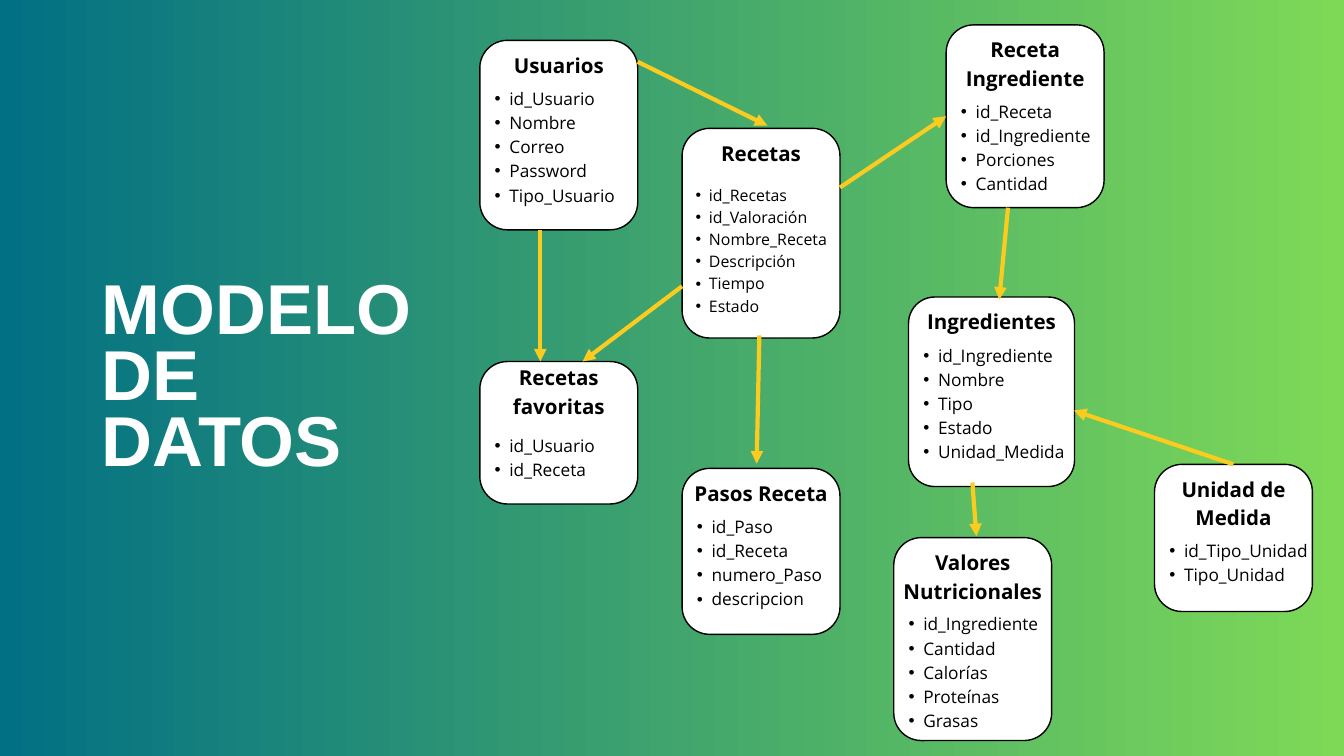
from dataclasses import dataclass
from typing import Optional

from lxml import etree
from pptx import Presentation
from pptx import util as u
from pptx.dml.color import RGBColor
from pptx.enum import shapes, text
from pptx.oxml import ns

WHITE = RGBColor(0xFF, 0xFF, 0xFF)
BLACK = RGBColor(0x00, 0x00, 0x00)
GOLD = RGBColor(0xFC, 0xCB, 0x1F)
TEAL = RGBColor(0x02, 0x70, 0x84)
LIME = RGBColor(0x7E, 0xD9, 0x57)

HEAD = {"name": "Open Sans", "size": u.Pt(22), "bold": True}
BODY = {"name": "Open Sans", "bold": False}
TITLE = {"name": "Arial", "size": u.Pt(75.6), "bold": True}
FRAME = {
    "margin_left": 0, "margin_top": 0, "margin_right": 0, "margin_bottom": 0,
    "word_wrap": True, "auto_size": text.MSO_AUTO_SIZE.SHAPE_TO_FIT_TEXT,
}


@dataclass
class Table:
    name: str
    left: float
    top: float
    high: float
    fields: list[str]
    drop: float = 0.66
    lead: float = 0.12
    wide: float = 2.35
    size: float = 18.5
    round: float = 0.41


@dataclass
class Link:
    start: tuple[float, float]
    end: tuple[float, float]
    source: Optional[tuple[str, int]] = None
    target: Optional[tuple[str, int]] = None


TABLES = [
    Table("Usuarios", 7.14, 0.6, 2.82,
          ["id_Usuario", "Nombre", "Correo", "Password", "Tipo_Usuario"]),
    Table("Recetas favoritas", 7.14, 5.38, 2.12, ["id_Usuario", "id_Receta"],
          drop=1.04, lead=-0.01),
    Table("Pasos Receta", 10.15, 6.97, 2.47,
          ["id_Paso", "id_Receta", "numero_Paso", "descripcion"]),
    Table("Recetas", 10.15, 1.91, 3.12,
          ["id_Recetas", "id_Valoración", "Nombre_Receta", "Descripción",
           "Tiempo", "Estado"], drop=0.8, size=17),
    Table("Receta Ingrediente", 14.08, 0.37, 2.72,
          ["id_Receta", "id_Ingrediente", "Porciones", "Cantidad"], drop=1.08),
    Table("Ingredientes", 13.52, 4.42, 2.82,
          ["id_Ingrediente", "Nombre", "Tipo", "Estado", "Unidad_Medida"],
          wide=2.47, round=0.39),
    Table("Valores Nutricionales", 13.3, 8, 3.02,
          ["id_Ingrediente", "Cantidad", "Calorías", "Proteínas", "Grasas"],
          drop=1.08),
    Table("Unidad de Medida", 17.18, 6.91, 2.19,
          ["id_Tipo_Unidad", "Tipo_Unidad"], drop=1.08),
]

LINKS = [
    Link((9.49, 0.92), (11.42, 1.87)),
    Link((10.15, 4.26), (8.67, 5.38)),
    Link((8.04, 3.42), (8.04, 5.38)),
    Link((11.3, 4.99), (11.26, 6.9)),
    Link((12.5, 2.79), (14.08, 1.73), target=("Receta Ingrediente", 1)),
    Link((15, 3.09), (14.87, 4.46)),
    Link((18.36, 6.91), (15.98, 6.11), source=("Unidad de Medida", 0)),
    Link((14.47, 7.18), (14.53, 7.98)),
]


def apply(target, values: dict) -> None:
    for key, value in values.items():
        setattr(target, key, value)


def add_text(parent, spot: tuple, lines: list[str], font: dict, color: RGBColor,
             space: float, align, indent: float = 0) -> None:
    frame = parent.add_textbox(*map(u.Inches, spot)).text_frame
    apply(frame, FRAME)
    for index, line in enumerate(lines):
        para = frame.add_paragraph() if index else frame.paragraphs[0]
        apply(para, {"alignment": align, "line_spacing": u.Pt(space)})
        if indent:
            props = para._p.get_or_add_pPr()
            props.set("marL", str(u.Inches(indent)))
            props.set("indent", str(-u.Inches(indent / 2)))
            etree.SubElement(props, ns.qn("a:buFont"), typeface="Arial")
            etree.SubElement(props, ns.qn("a:buChar"), char="•")
        run = para.add_run()
        run.text = line
        apply(run.font, font)
        run.font.color.rgb = color


def add_table(slide, table: Table):
    group = slide.shapes.add_group_shape().shapes
    spot = (table.left, table.top, table.wide, table.high)
    card = group.add_shape(shapes.MSO_SHAPE.ROUNDED_RECTANGLE,
                           *map(u.Inches, spot))
    card.adjustments[0] = table.round / min(table.wide, table.high)
    card.shadow.inherit = False
    card.fill.solid()
    card.fill.fore_color.rgb = WHITE
    card.line.color.rgb = BLACK
    card.line.width = u.Pt(1.5)
    add_text(group, (table.left, table.top + table.lead, table.wide,
                     table.drop - table.lead - 0.14),
             [table.name], HEAD, BLACK, 30.8, text.PP_ALIGN.CENTER)
    space = table.size * 1.4
    add_text(group, (table.left, table.top + table.drop, table.wide,
                     len(table.fields) * space / 72),
             table.fields, {**BODY, "size": u.Pt(table.size)}, BLACK, space,
             text.PP_ALIGN.JUSTIFY, round(table.size * 0.0238, 2))
    return card


def add_link(slide, link: Link, cards: dict) -> None:
    line = slide.shapes.add_connector(
        shapes.MSO_CONNECTOR.STRAIGHT, *map(u.Inches, link.start + link.end))
    if link.source:
        line.begin_connect(cards[link.source[0]], link.source[1])
    if link.target:
        line.end_connect(cards[link.target[0]], link.target[1])
    line.line.color.rgb = GOLD
    line.line.width = u.Pt(4.5)
    etree.SubElement(line.line._get_or_add_ln(), ns.qn("a:tailEnd"),
                     type="triangle")
    etree.SubElement(line._element.spPr, ns.qn("a:effectLst"))


def main() -> None:
    deck = Presentation()
    apply(deck, {"slide_width": u.Inches(20), "slide_height": u.Inches(11.25)})
    slide = deck.slides.add_slide(deck.slide_layouts[6])
    fill = slide.background.fill
    fill.gradient()
    fill.gradient_angle = 0
    for stop, place, color in zip(fill.gradient_stops, (0, 1), (TEAL, LIME)):
        stop.position = place
        stop.color.rgb = color
    cards = {table.name: add_table(slide, table) for table in TABLES}
    add_text(slide.shapes, (1.51, 4.2, 4.98, 3.04), ["MODELO DE DATOS"],
             TITLE, WHITE, 71, text.PP_ALIGN.LEFT)
    for link in LINKS:
        add_link(slide, link, cards)
    deck.save("out.pptx")


if __name__ == "__main__":
    main()
